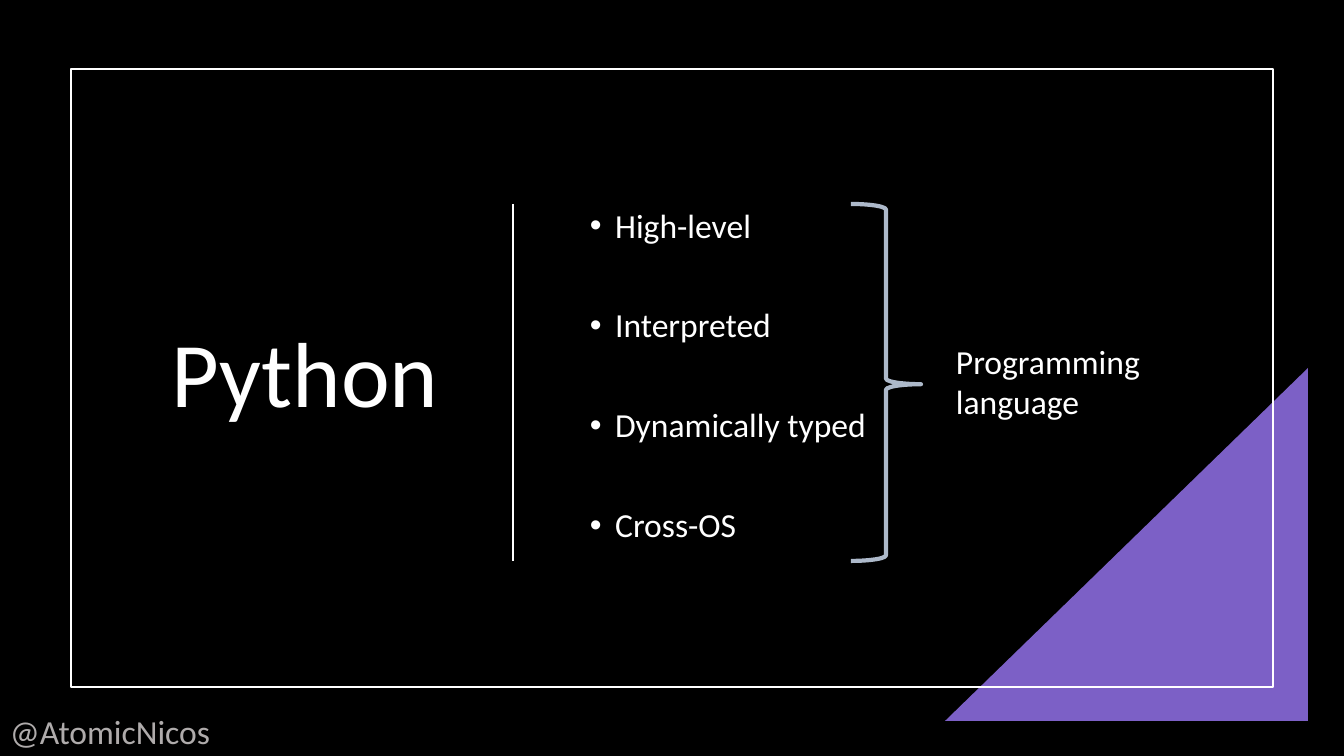
from pptx import Presentation
from pptx import util as u
from pptx.dml.color import RGBColor
from pptx.enum import shapes, text
from pptx.oxml.ns import qn
from lxml import etree

SCALE = 914400 / 100.8
FONT = "Calibri"
HEX = {
    "back": "000000",
    "ink": "FFFFFF",
    "wedge": "7C60C6",
    "brace": "ADB9CA",
    "tag": "AFABAB",
}
TRAITS = ["High-level", "Interpreted", "Dynamically typed", "Cross-OS"]


def px(n):
    return u.Emu(round(n * SCALE))


def tint(name):
    return RGBColor.from_string(HEX[name])


def place(item, box):
    item.left, item.top, item.width, item.height = map(px, box)


def write(par, words, size, hue):
    run = par.add_run()
    run.text = words
    run.font.name = FONT
    run.font.size = u.Pt(size)
    run.font.color.rgb = tint(hue)


def shape(slide, kind, box, fill=None, line=None, width=1.5):
    item = slide.shapes.add_shape(kind, *map(px, box))
    item.shadow.inherit = False
    if fill:
        item.fill.solid()
        item.fill.fore_color.rgb = tint(fill)
    else:
        item.fill.background()
    if line:
        item.line.color.rgb = tint(line)
        item.line.width = u.Pt(width)
    else:
        item.line.fill.background()
    return item


def label(slide, box, words, hue):
    frame = slide.shapes.add_textbox(*map(px, box)).text_frame
    frame.word_wrap = True
    write(frame.paragraphs[0], words, 24, hue)


def frame(slide, box):
    left, top, wide, high = box
    wedge = shape(slide, shapes.MSO_SHAPE.RIGHT_TRIANGLE,
                  (left + wide - 328, top + high - 319, 363, 353), fill="wedge")
    wedge._element.spPr.xfrm.set("flipH", "1")
    shape(slide, shapes.MSO_SHAPE.RECTANGLE, box, line="ink")


def title(slide, box):
    head = slide.shapes.title
    place(head, box)
    body = head.text_frame
    body.word_wrap = True
    body.auto_size = text.MSO_AUTO_SIZE.NONE
    body.vertical_anchor = text.MSO_ANCHOR.MIDDLE
    par = body.paragraphs[0]
    par.alignment = text.PP_ALIGN.RIGHT
    par.line_spacing = 0.9
    write(par, "Python", 66, "ink")


def rule(slide, box):
    left, top, wide, high = box
    line = slide.shapes.add_connector(
        shapes.MSO_CONNECTOR.STRAIGHT, *map(px, (left, top, left + wide, top + high)))
    line.line.color.rgb = tint("ink")
    line.line.width = u.Pt(1.5)
    etree.SubElement(line._element.spPr, qn("a:effectLst"))


def traits(slide, box):
    body = slide.shapes.add_textbox(*map(px, box)).text_frame
    body.word_wrap = True
    body.vertical_anchor = text.MSO_ANCHOR.MIDDLE
    for i, words in enumerate(TRAITS):
        par = body.paragraphs[0] if i == 0 else body.add_paragraph()
        par.line_spacing = 0.9
        if i:
            par.space_before = u.Pt(45.4)
        props = par._p.get_or_add_pPr()
        props.set("marL", str(u.Inches(0.25)))
        props.set("indent", str(-u.Inches(0.25)))
        etree.SubElement(props, qn("a:buFont")).set("typeface", "Arial")
        etree.SubElement(props, qn("a:buChar")).set("char", "•")
        write(par, words, 24, "ink")


def result(slide, box):
    left, top, wide, high = box
    brace = shape(slide, shapes.MSO_SHAPE.RIGHT_BRACE,
                  (left, top, 70, high), line="brace", width=3)
    brace.adjustments[0] = 0.08
    brace.adjustments[1] = 0.505
    label(slide, (left + 95, top + 132, wide - 95, 92), "Programming language", "ink")


def main():
    deck = Presentation()
    deck.slide_width, deck.slide_height = px(1344), px(756)
    slide = deck.slides.add_slide(deck.slide_layouts.get_by_name("Title Only"))
    slide.background.fill.solid()
    slide.background.fill.fore_color.rgb = tint("back")
    frame(slide, (71, 69, 1202, 618))
    title(slide, (119, 131, 330, 494))
    rule(slide, (513, 204, 0, 357))
    traits(slide, (580, 181, 330, 392))
    result(slide, (851, 204, 413, 357))
    label(slide, (0, 706, 232, 50), "@AtomicNicos", "tag")
    deck.save("out.pptx")


if __name__ == "__main__":
    main()
